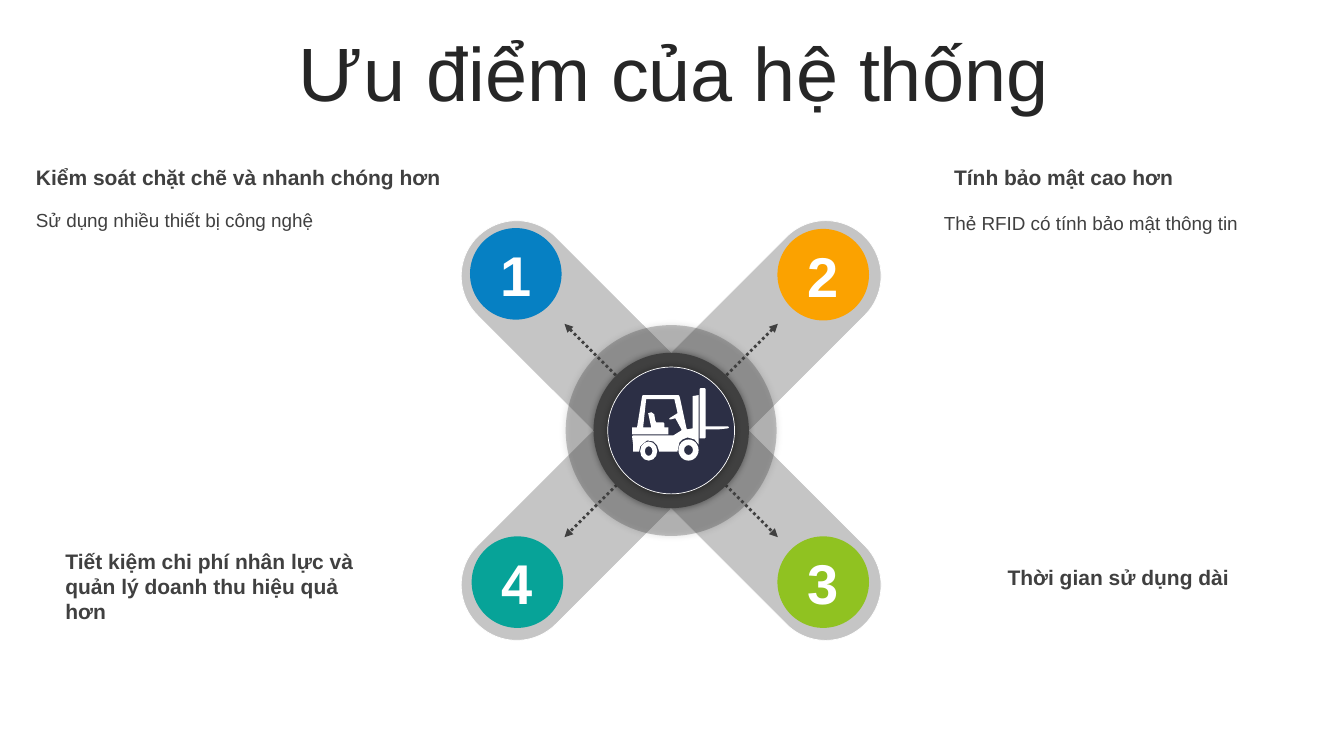
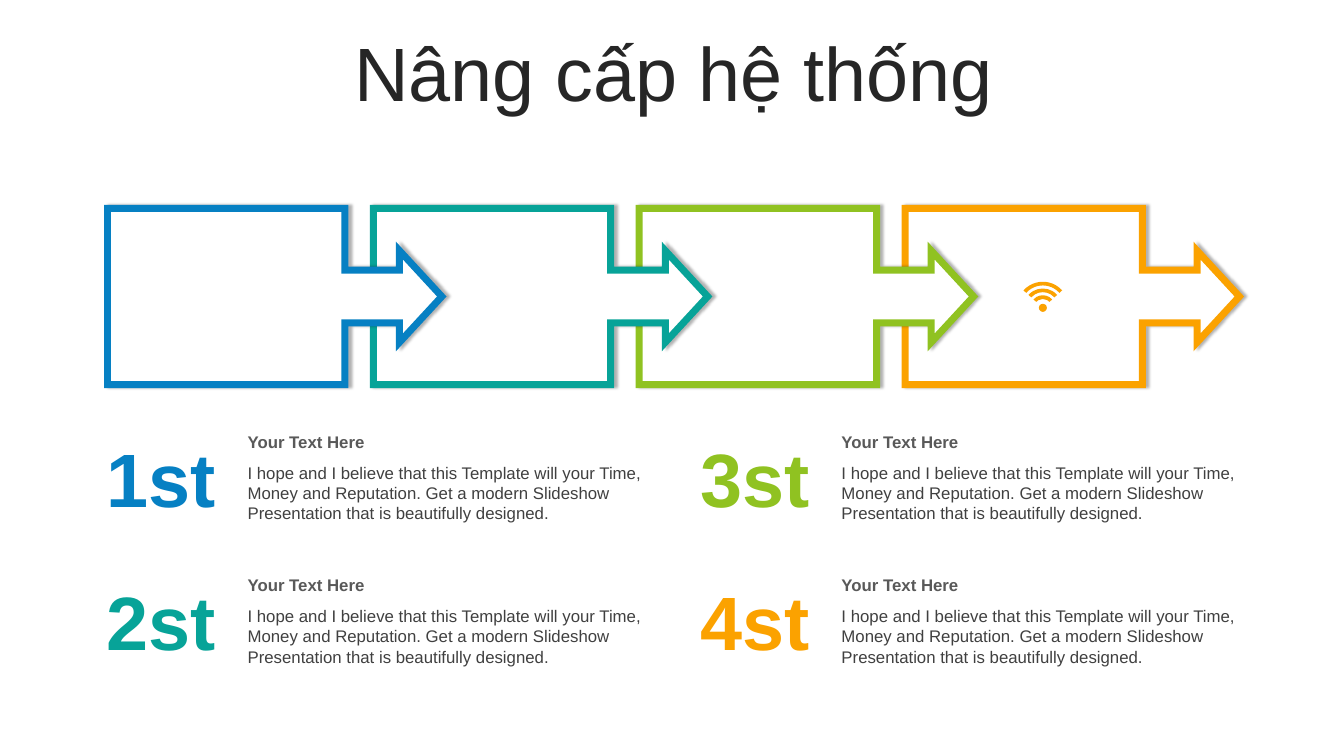
from pptx import Presentation
from pptx.dml.color import RGBColor
from pptx.enum.dml import MSO_LINE
from pptx.enum.shapes import MSO_CONNECTOR as CONNECTOR, MSO_SHAPE as SHAPE
from pptx.enum.text import MSO_ANCHOR as ANCHOR, MSO_AUTO_SIZE as AUTO_SIZE, PP_ALIGN as ALIGN
from pptx.oxml import parse_xml
from pptx.oxml.ns import nsdecls, qn
from pptx.oxml.xmlchemy import OxmlElement
from pptx.util import Inches, Pt

COLORS = {
    "blue": "0680C3",
    "teal": "07A398",
    "green": "90C221",
    "orange": "FBA200",
    "title": "262626",
    "text": "404040",
    "heading": "595959",
    "navy": "2C2F45",
    "white": "FFFFFF",
}
FONT = "Arial"

presentation = Presentation()
presentation.slide_width = Inches(13.33)
presentation.slide_height = Inches(7.5)
COLUMN = presentation.slide_width / 160
ROW = presentation.slide_height / 90


def paint(shape, fill, line=None, width=0.5, opacity=None, shadow=None):
    shape.fill.solid()
    shape.fill.fore_color.rgb = RGBColor.from_string(COLORS[fill])
    if opacity:
        alpha = OxmlElement("a:alpha")
        alpha.set("val", str(opacity * 1000))
        shape.fill._xPr.find(".//" + qn("a:srgbClr")).append(alpha)
    if line:
        shape.line.color.rgb = RGBColor.from_string(COLORS[line])
        shape.line.width = Pt(width)
        miter = OxmlElement("a:miter")
        miter.set("lim", "800000")
        shape.line._get_or_add_ln().append(miter)
    else:
        shape.line.fill.background()
    shape.shadow.inherit = False
    if shadow:
        strength, blur, distance = shadow
        effects = shape._element.spPr.find(qn("a:effectLst"))
        effects.append(parse_xml(
            f'<a:outerShdw {nsdecls("a")} blurRad="{Pt(blur)}" dist="{Pt(distance)}" dir="0">'
            f'<a:srgbClr val="000000"><a:alpha val="{strength * 1000}"/></a:srgbClr></a:outerShdw>'))


def write(shape, text, size, color, bold=False, align=ALIGN.LEFT, anchor=ANCHOR.TOP):
    frame = shape.text_frame
    frame.word_wrap = True
    frame.auto_size = AUTO_SIZE.NONE
    frame.vertical_anchor = anchor
    paragraph = frame.paragraphs[0]
    paragraph.alignment = align
    run = paragraph.add_run()
    run.text = text
    run.font.name = FONT
    run.font.size = Pt(size)
    run.font.bold = bold
    run.font.color.rgb = RGBColor.from_string(COLORS[color])
    return paragraph


slides = []
for title_text in ("Ưu điểm của hệ thống", "Nâng cấp hệ thống"):
    slide = presentation.slides.add_slide(presentation.slide_layouts[5])
    title = slide.shapes.title
    title.left, title.top = int(4.2 * COLUMN), int(4.45 * ROW)
    title.width, title.height = int(152 * COLUMN), int(9.5 * ROW)
    paragraph = write(title, title_text, 54, "title", align=ALIGN.CENTER, anchor=ANCHOR.MIDDLE)
    paragraph.line_spacing = 0.9
    paragraph.space_before = Pt(10)
    slides.append(slide)
advantages, upgrade = slides

HUB_X, HUB_Y = 79.9, 51.25
GLOW = (40, 5, 0)
shapes = advantages.shapes

for angle in (45, 315):
    arm = shapes.add_shape(SHAPE.ROUNDED_RECTANGLE, int((HUB_X - 6.6) * COLUMN),
                           int((HUB_Y - 32.6) * ROW), int(13.2 * COLUMN), int(65.2 * ROW))
    arm.adjustments[0] = 0.5
    arm.rotation = angle
    paint(arm, "text", "white", opacity=30)

discs = [
    (25.1, "text", None, 30),
    (18.5, "text", None, None),
    (15.1, "navy", "white", None),
]
for layer, (diameter, fill, line, opacity) in enumerate(discs):
    disc = shapes.add_shape(SHAPE.OVAL, int((HUB_X - diameter / 2) * COLUMN),
                            int((HUB_Y - diameter / 2) * ROW),
                            int(diameter * COLUMN), int(diameter * ROW))
    paint(disc, fill, line, opacity=opacity, shadow=GLOW)
    if layer == 0:
        for side in (-12.7, 12.7):
            arrow = shapes.add_connector(
                CONNECTOR.STRAIGHT, int((HUB_X + side) * COLUMN), int((HUB_Y - 12.7) * ROW),
                int((HUB_X - side) * COLUMN), int((HUB_Y + 12.7) * ROW))
            arrow.line.color.rgb = RGBColor.from_string(COLORS["text"])
            arrow.line.width = Pt(2)
            arrow.line.dash_style = MSO_LINE.ROUND_DOT
            for tag in ("a:headEnd", "a:tailEnd"):
                arrowhead = OxmlElement(tag)
                arrowhead.set("type", "triangle")
                arrow.line._get_or_add_ln().append(arrowhead)
            arrow._element.spPr.append(OxmlElement("a:effectLst"))

captions = [
    ("Kiểm soát chặt chẽ và nhanh chóng hơn", 3.1, 19, 52.2, 4.2, 15, ALIGN.LEFT),
    ("Sử dụng nhiều thiết bị công nghệ", 3.1, 24.2, 48.4, 4, 13.5, ALIGN.LEFT),
    ("Tính bảo mật cao hơn", 112.4, 19, 40, 4.2, 15, ALIGN.LEFT),
    ("Thẻ RFID có tính bảo mật thông tin", 111.2, 24.6, 39, 4, 13.5, ALIGN.LEFT),
    ("Thời gian sử dụng dài", 107.5, 66.6, 40, 4.2, 15, ALIGN.RIGHT),
    ("Tiết kiệm chi phí nhân lực và quản lý doanh thu hiệu quả hơn",
     6.6, 64.7, 40, 10.3, 15, ALIGN.LEFT),
]
for text, left, top, width, height, size, align in captions:
    caption = shapes.add_textbox(int(left * COLUMN), int(top * ROW),
                                 int(width * COLUMN), int(height * ROW))
    write(caption, text, size, "text", bold=size == 15, align=align)

badges = [
    ("1", "blue", 61.4, 32.6),
    ("2", "orange", 98, 32.7),
    ("3", "green", 98, 69.3),
    ("4", "teal", 61.6, 69.3),
]
BADGE = 10.9
for number, color, center_x, center_y in badges:
    badge = shapes.add_shape(SHAPE.OVAL, int((center_x - BADGE / 2) * COLUMN),
                             int((center_y - BADGE / 2) * ROW),
                             int(BADGE * COLUMN), int(BADGE * ROW))
    paint(badge, color)
    write(badge, number, 40, "white", True, ALIGN.CENTER, ANCHOR.MIDDLE)
    frame = badge.text_frame
    frame.margin_left = frame.margin_right = frame.margin_top = frame.margin_bottom = 0

ICON_LEFT, ICON_TOP, ICON_UNIT = 75.25, 46.2, 0.12
truck_body = [
    (0, 39), (5, 39), (10, 8), (11, 7), (46, 7), (47, 8), (48, 12), (54, 40), (55, 41),
    (60, 40), (60, 8), (66, 7), (66, 56), (62, 51), (55, 49), (50, 51), (47, 54), (45, 63),
    (27, 63), (25, 57), (21, 53), (15, 52), (11, 55), (8, 58), (7, 63), (1, 63), (1, 56),
    (0, 48), (1, 47), (41, 47), (49, 42), (49, 41), (43, 30), (39, 31), (37, 31), (37, 30),
    (45, 25), (45, 24), (42, 11), (14, 11), (11, 39), (19, 39), (16, 25), (19, 24), (22, 26),
    (23, 32), (24, 34), (31, 34), (32, 35), (32, 39), (36, 39), (36, 46), (0, 46),
]
mast_and_fork = [
    (67, 1), (68, 0), (72, 0), (73, 1), (73, 38), (95, 38), (96, 39), (95, 40), (86, 41),
    (73, 41), (73, 49), (72, 50), (67, 50),
]
for outline in (truck_body, mast_and_fork):
    builder = shapes.build_freeform(*outline[0], scale=ICON_UNIT * ROW)
    builder.add_line_segments(outline[1:], close=True)
    paint(builder.convert_to_shape(int(ICON_LEFT * COLUMN), int(ICON_TOP * ROW)), "white")

for left, top, width, height in ((46, 51, 20, 21), (8, 53, 17, 19)):
    wheel = shapes.add_shape(SHAPE.DONUT, int((ICON_LEFT + left * ICON_UNIT) * COLUMN),
                             int((ICON_TOP + top * ICON_UNIT) * ROW),
                             int(width * ICON_UNIT * COLUMN), int(height * ICON_UNIT * ROW))
    wheel.adjustments[0] = 0.28
    paint(wheel, "white")

shapes = upgrade.shapes
steps = [("1st", "blue"), ("2st", "teal"), ("3st", "green"), ("4st", "orange")]
BODY = ("I hope and I believe that this Template will your Time, Money and Reputation. "
        "Get a modern Slideshow Presentation that is beautifully designed.")

for index, (ordinal, color) in enumerate(steps):
    column, row = divmod(index, 2)
    left, top = 70.7 * column, 50.8 + 17.05 * row
    texts = [
        (ordinal, 10.7, 0, 17, 12.1, 54, color, True, ALIGN.CENTER),
        ("Your Text Here", 28.3, 0, 49.1, 3.6, 12, "heading", True, ALIGN.LEFT),
        (BODY, 28.3, 3.7, 49.4, 8.5, 12, "text", False, ALIGN.LEFT),
    ]
    for text, across, down, width, height, size, text_color, bold, align in texts:
        box = shapes.add_textbox(int((left + across) * COLUMN), int((top + down) * ROW),
                                 int(width * COLUMN), int(height * ROW))
        write(box, text, size, text_color, bold, align)

for index in reversed(range(len(steps))):
    callout = shapes.add_shape(SHAPE.RIGHT_ARROW_CALLOUT, int((12.8 + 31.65 * index) * COLUMN),
                               int(24.8 * ROW), int(39.8 * COLUMN), int(21 * ROW))
    for position, value in enumerate((0.3, 0.26, 0.24, 0.71)):
        callout.adjustments[position] = value
    paint(callout, "white", steps[index][1], 5, shadow=(30, 2, 2))

WIFI_X, WIFI_Y = 124.15, 36.65
for radius in (0.48, 1.5, 2.3, 3.1):
    kind = SHAPE.OVAL if radius < 1 else SHAPE.BLOCK_ARC
    wave = shapes.add_shape(kind, int((WIFI_X - radius) * COLUMN), int((WIFI_Y - radius) * ROW),
                            int(2 * radius * COLUMN), int(2 * radius * ROW))
    if kind == SHAPE.BLOCK_ARC:
        wave.adjustments[0] = 222 * 0.6
        wave.adjustments[1] = 318 * 0.6
        wave.adjustments[2] = 0.22 / radius
    paint(wave, "orange")

presentation.save("out.pptx")
